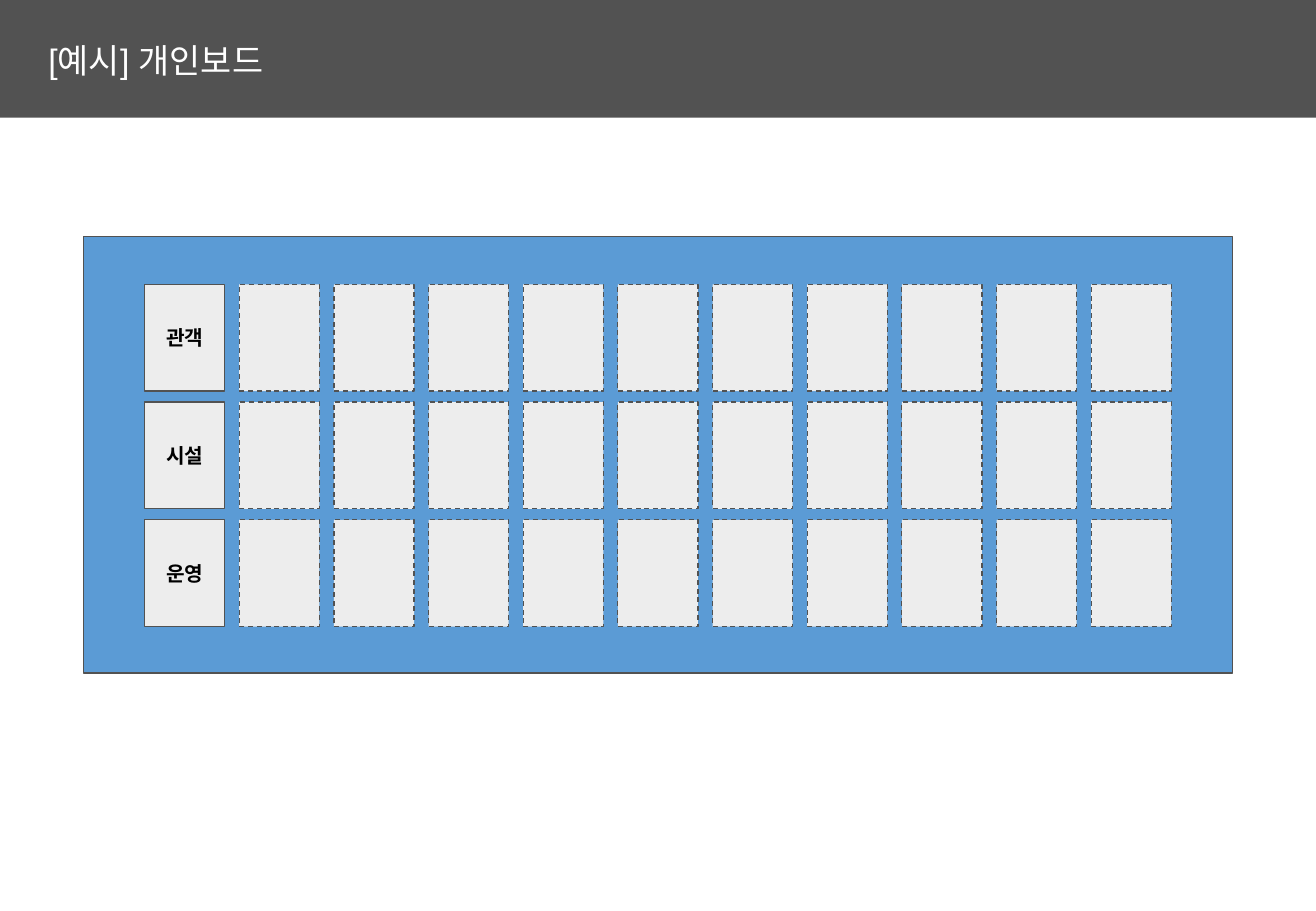
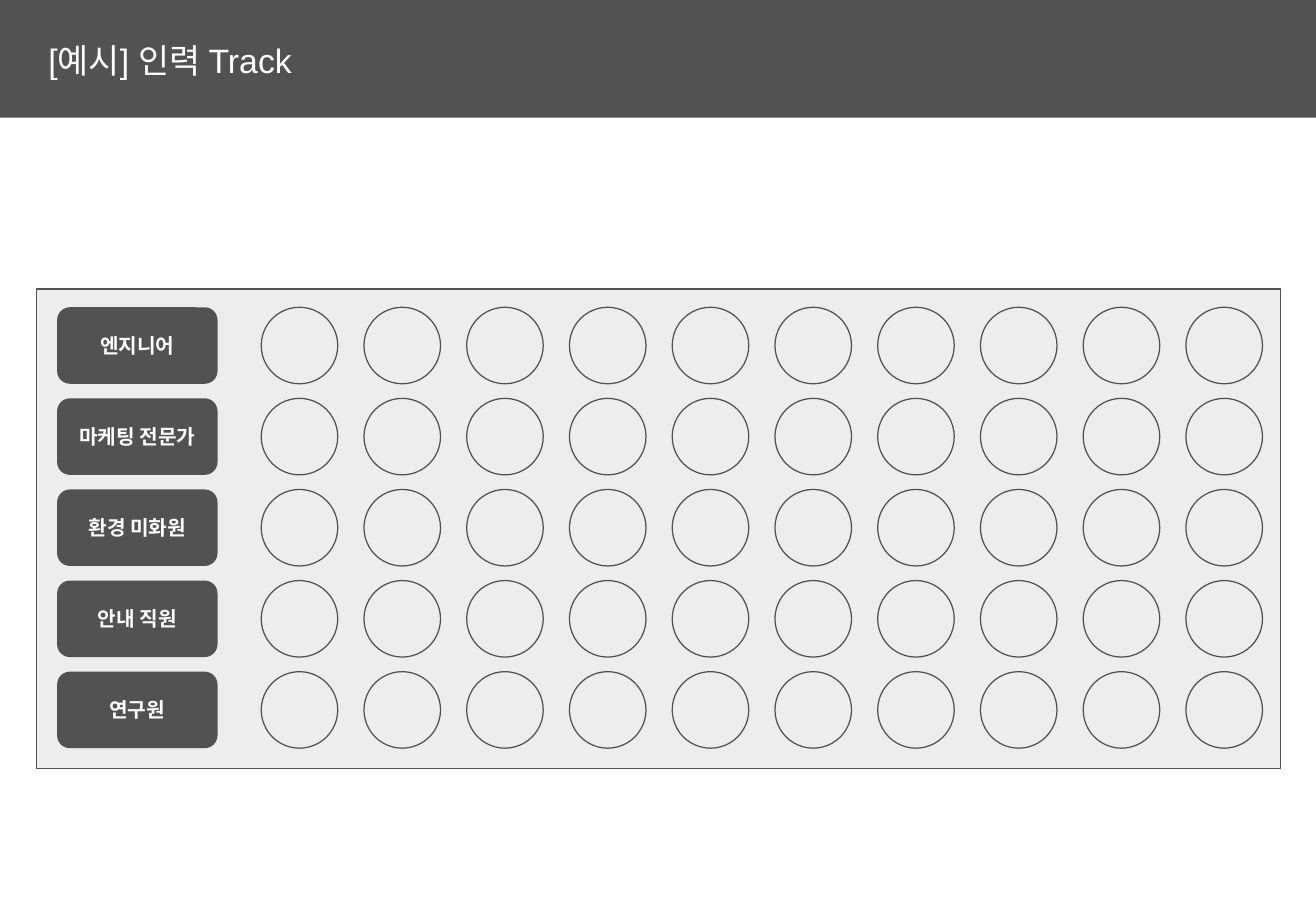
import pptx
import pptx.dml.color
import pptx.enum.dml
import pptx.enum.shapes
import pptx.enum.text
import pptx.util

Inches = pptx.util.Inches
Pt = pptx.util.Pt
RGBColor = pptx.dml.color.RGBColor
Shape = pptx.enum.shapes.MSO_SHAPE
Align = pptx.enum.text.PP_ALIGN

GRAY = RGBColor(0x52, 0x52, 0x52)
LIGHT = RGBColor(0xED, 0xED, 0xED)
BLUE = RGBColor(0x5B, 0x9B, 0xD5)
WHITE = RGBColor(0xFF, 0xFF, 0xFF)
BLACK = RGBColor(0x00, 0x00, 0x00)
FONT = "Arial"
SLIDE_WIDTH = 10.83


def write_text(shape, text, size=12, color=WHITE, bold=True, align=Align.CENTER, inset=0.1):
    frame = shape.text_frame
    frame.word_wrap = True
    frame.vertical_anchor = pptx.enum.text.MSO_ANCHOR.MIDDLE
    frame.margin_left = frame.margin_right = Inches(inset)
    frame.margin_top = frame.margin_bottom = Inches(inset / 2)
    paragraph = frame.paragraphs[0]
    paragraph.alignment = align
    run = paragraph.add_run()
    run.text = text
    run.font.name = FONT
    run.font.size = Pt(size)
    run.font.bold = bold
    run.font.color.rgb = color


def add_box(shapes, left, top, width, height, kind=Shape.RECTANGLE, fill=LIGHT, line=GRAY, dashed=False):
    shape = shapes.add_shape(kind, Inches(left), Inches(top), Inches(width), Inches(height))
    shape.shadow.inherit = False
    shape.fill.solid()
    shape.fill.fore_color.rgb = fill
    if line is None:
        shape.line.fill.background()
    else:
        shape.line.color.rgb = line
        shape.line.width = Pt(0.75)
    if dashed:
        shape.line.dash_style = pptx.enum.dml.MSO_LINE.DASH
    return shape


presentation = pptx.Presentation()
presentation.slide_width = Inches(SLIDE_WIDTH)
presentation.slide_height = Inches(7.5)

slides = []
for title, title_width in (("[예시] 개인보드", 2.15), ("[예시] 인력 Track", 2.34)):
    slide = presentation.slides.add_slide(presentation.slide_layouts[6])
    add_box(slide.shapes, 0, 0, SLIDE_WIDTH, 0.97, fill=GRAY, line=None)
    title_box = slide.shapes.add_textbox(Inches(0.3), Inches(0.27), Inches(title_width), Inches(0.44))
    write_text(title_box, title, size=20, bold=False, align=Align.LEFT)
    slides.append(slide)
board_slide, track_slide = slides

add_box(board_slide.shapes, 0.69, 1.95, 9.45, 3.59, fill=BLUE)
cards = board_slide.shapes.add_group_shape().shapes
card_pitch = (8.98 - 1.19) / 10
for row, label in enumerate(("관객", "시설", "운영")):
    for column in range(11):
        card = add_box(cards, 1.19 + column * card_pitch, 2.34 + row * 0.97, 0.66, 0.88, dashed=column > 0)
        if column == 0:
            write_text(card, label, color=BLACK, inset=0)

add_box(track_slide.shapes, 0.3, 2.38, 10.24, 3.95)
circle_pitch = (9.76 - 2.15) / 9
for row, label in enumerate(("엔지니어", "마케팅 전문가", "환경 미화원", "안내 직원", "연구원")):
    top = 2.53 + row * 0.75
    role = add_box(track_slide.shapes, 0.47, top, 1.32, 0.63, kind=Shape.ROUNDED_RECTANGLE, fill=GRAY, line=None)
    write_text(role, label)
    for column in range(10):
        add_box(track_slide.shapes, 2.15 + column * circle_pitch, top, 0.63, 0.63, kind=Shape.OVAL)

presentation.save("out.pptx")
